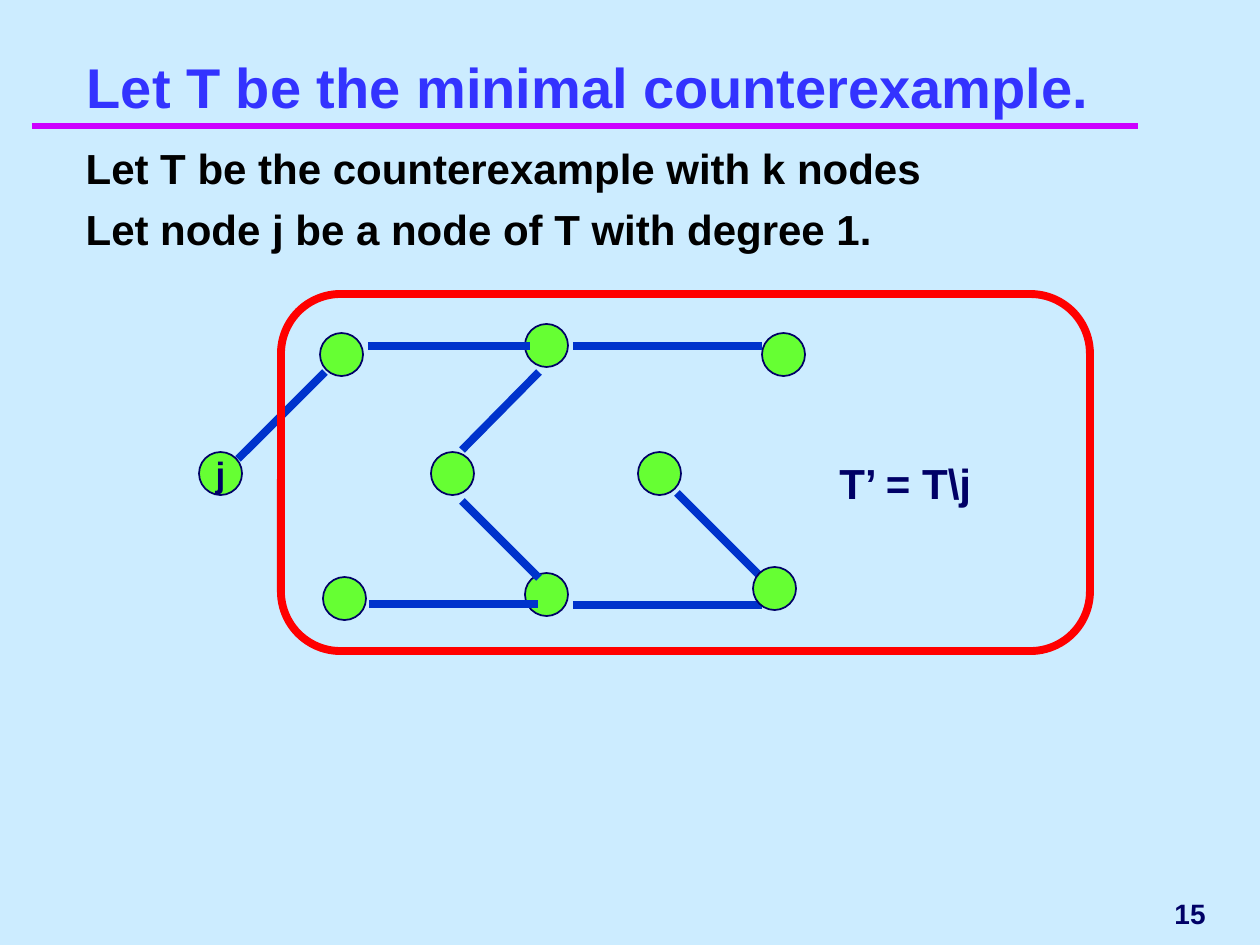
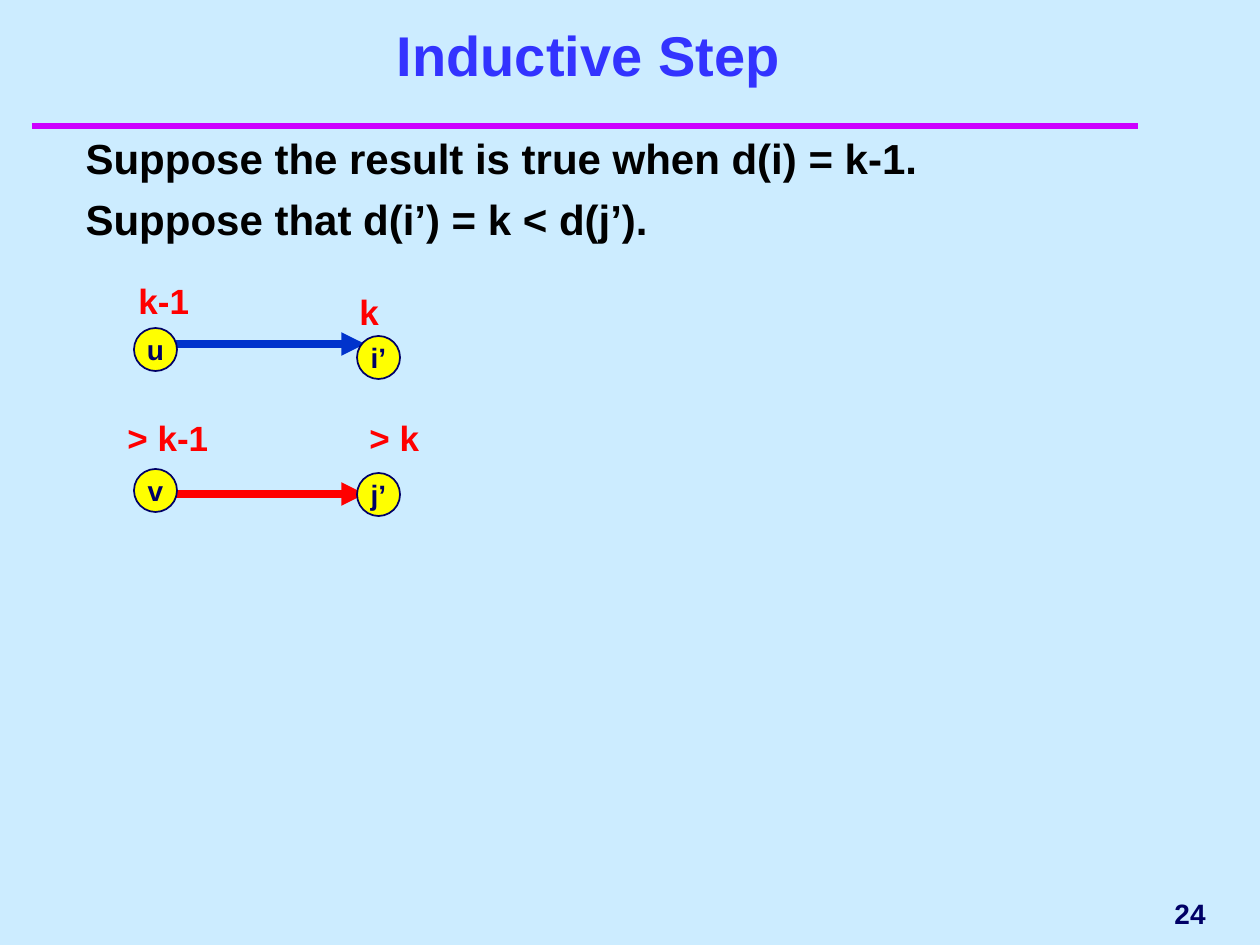
from dataclasses import dataclass

from lxml.etree import SubElement
from pptx import Presentation
from pptx.dml.color import RGBColor
from pptx.enum.shapes import MSO_CONNECTOR, MSO_SHAPE
from pptx.enum.text import MSO_ANCHOR, MSO_AUTO_SIZE, PP_ALIGN
from pptx.oxml.ns import qn
from pptx.util import Pt


@dataclass(frozen=True)
class Theme:
    font: str = "Arial"
    background: str = "CCECFF"
    rule: str = "CC00FF"
    title: str = "3333FF"
    body: str = "000000"
    ink: str = "000066"
    blue: str = "0033CC"
    red: str = "FF0000"
    green: str = "66FF33"
    yellow: str = "FFFF00"
    title_size: int = 32
    body_size: int = 24
    label_size: int = 20
    small_size: int = 16
    thin: float = 1
    rule_width: float = 4
    thick: float = 4.5


THEME = Theme()
PX_PER_INCH = 126
NODE = 43  # node diameter
LABEL_HEIGHT = 55
INDENT = 48

# Content, with all lengths in px
TREE = {
    "title": "Let T be the minimal counterexample.",
    "title_box": (53, 0, 1071, 126),
    "body": ["Let T be the counterexample with k nodes",
             "Let node j be a node of T with degree 1."],
    "body_box": (73, 136, 1065, 179),
    "number": "15",
}
TREE_NODES_BEHIND = [("j", 199, 452), ("", 762, 333), ("", 638, 452), ("", 525, 573),
                     ("", 431, 452), ("", 525, 324), ("", 320, 333)]
TREE_NODES_FRONT = [("", 323, 577), ("", 753, 567)]
TREE_EDGES = [
    ((238, 459), (325, 372)), ((368, 346), (530, 346)),
    ((573, 346), (762, 346)), ((539, 372), (462, 450)),
    ((462, 501), (539, 578)), ((573, 605), (762, 605)),
    ((762, 578), (677, 493)), ((369, 604), (538, 604)),
]
SUBTREE_FRAME = (281, 294, 809, 357)
SUBTREE_LABEL = ("T’ = T\\j", (827, 451, 210, 63))

STEP = {
    "title": "Inductive Step",
    "title_box": (53, 0, 1071, 94),
    "body": ["Suppose the result is true when d(i) = k-1.",
             "Suppose that d(i’) = k < d(j’)."],
    "body_box": (73, 126, 1065, 158),
    "number": "24",
}
STEP_ARROWS = [(344, THEME.blue), (494, THEME.red)]
ARROW_START, ARROW_END = 176, 365
STEP_NODES = [("i’", 357, 336), ("j’", 357, 473), ("v", 134, 469), ("u", 134, 328)]
STEP_LABELS = [("k", 347, 284, 116), ("k-1", 126, 273, 84),
               ("> k", 357, 410, 106), ("> k-1", 115, 410, 106)]


def px(length):
    return round(length * 914400 / PX_PER_INCH)


def scaled(box):
    return [px(length) for length in box]


def rgb(color):
    return RGBColor.from_string(color)


def format_text(frame, size, color, align=PP_ALIGN.LEFT, anchor=MSO_ANCHOR.TOP, wrap=True):
    frame.word_wrap = wrap
    frame.auto_size = MSO_AUTO_SIZE.NONE
    frame.vertical_anchor = anchor
    for para in frame.paragraphs:
        para.alignment = align
        for span in para.runs:
            span.font.name = THEME.font
            span.font.size = Pt(size)
            span.font.bold = True
            span.font.color.rgb = rgb(color)


def add_label(page, text, box, size, color, **layout):
    label = page.shapes.add_textbox(*scaled(box))
    label.text_frame.text = text
    format_text(label.text_frame, size, color, **layout)


def add_line(page, start, end, color, width=THEME.thick, arrow=False):
    line = page.shapes.add_connector(MSO_CONNECTOR.STRAIGHT, *scaled(start + end))
    line.line.color.rgb = rgb(color)
    line.line.width = Pt(width)
    if arrow:
        SubElement(line.line._get_or_add_ln(), qn("a:tailEnd"), type="triangle")
    SubElement(line.element.spPr, qn("a:effectLst"))
    return line


def add_outlined(page, preset, box, color, width):
    shape = page.shapes.add_shape(preset, *scaled(box))
    shape.shadow.inherit = False
    shape.line.color.rgb = rgb(color)
    shape.line.width = Pt(width)
    return shape


def add_nodes(page, nodes, fill, size):
    for name, left, top in nodes:
        node = add_outlined(page, MSO_SHAPE.OVAL, (left, top, NODE, NODE), THEME.ink, THEME.thin)
        node.fill.solid()
        node.fill.fore_color.rgb = rgb(fill)
        if name:
            node.text_frame.text = name
            format_text(node.text_frame, size, THEME.ink, PP_ALIGN.CENTER,
                        MSO_ANCHOR.MIDDLE, wrap=False)


def add_page(deck, content):
    page = deck.slides.add_slide(deck.slide_layouts[1])
    title, body = page.placeholders
    for holder, key in ((title, "title_box"), (body, "body_box")):
        holder.left, holder.top, holder.width, holder.height = scaled(content[key])
    title.text_frame.text = content["title"]
    format_text(title.text_frame, THEME.title_size, THEME.title,
                PP_ALIGN.CENTER, MSO_ANCHOR.BOTTOM)

    # Body lines hang without bullets
    body.text_frame.text = "\n".join(content["body"])
    format_text(body.text_frame, THEME.body_size, THEME.body)
    for para in body.text_frame.paragraphs:
        para.space_before = Pt(6)
        properties = para._p.get_or_add_pPr()
        properties.set("marL", str(px(INDENT)))
        properties.set("indent", str(-px(INDENT)))
        SubElement(properties, qn("a:buNone"))

    add_label(page, content["number"], (976, 882, 242, 63), THEME.small_size, THEME.ink,
              align=PP_ALIGN.RIGHT, anchor=MSO_ANCHOR.MIDDLE)
    return page


def build_tree(deck):
    page = add_page(deck, TREE)
    add_nodes(page, TREE_NODES_BEHIND, THEME.green, THEME.label_size)
    for start, end in TREE_EDGES:
        add_line(page, start, end, THEME.blue)
    add_nodes(page, TREE_NODES_FRONT, THEME.green, THEME.label_size)

    # Frame around the tree without j
    frame = add_outlined(page, MSO_SHAPE.ROUNDED_RECTANGLE, SUBTREE_FRAME,
                         THEME.red, THEME.thick)
    frame.fill.background()
    text, box = SUBTREE_LABEL
    add_label(page, text, box, THEME.body_size, THEME.ink)
    return page


def build_step(deck):
    page = add_page(deck, STEP)
    for y, color in STEP_ARROWS:
        add_line(page, (ARROW_START, y), (ARROW_END, y), color, arrow=True)
    add_nodes(page, STEP_NODES, THEME.yellow, THEME.small_size)
    for text, left, top, width in STEP_LABELS:
        add_label(page, text, (left, top, width, LABEL_HEIGHT), THEME.label_size, THEME.red)


def main():
    deck = Presentation()
    deck.slide_width, deck.slide_height = scaled((1260, 945))
    background = deck.slide_master.background.fill
    background.solid()
    background.fore_color.rgb = rgb(THEME.background)

    page = build_tree(deck)
    build_step(deck)

    # The title rule belongs to the shared layout
    rule = add_line(page, (32, 126), (1138, 126), THEME.rule, THEME.rule_width)
    page.slide_layout.shapes.element.append(rule.element)
    deck.save("out.pptx")


if __name__ == "__main__":
    main()
